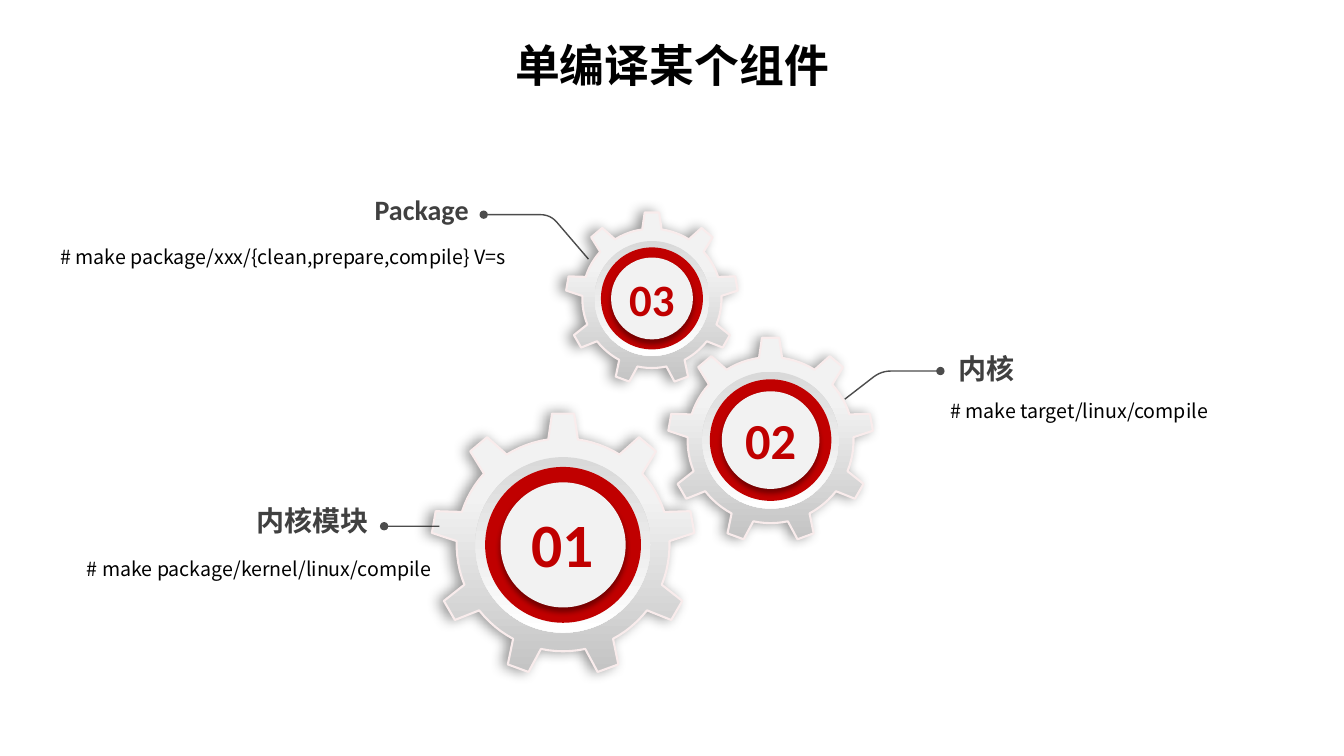
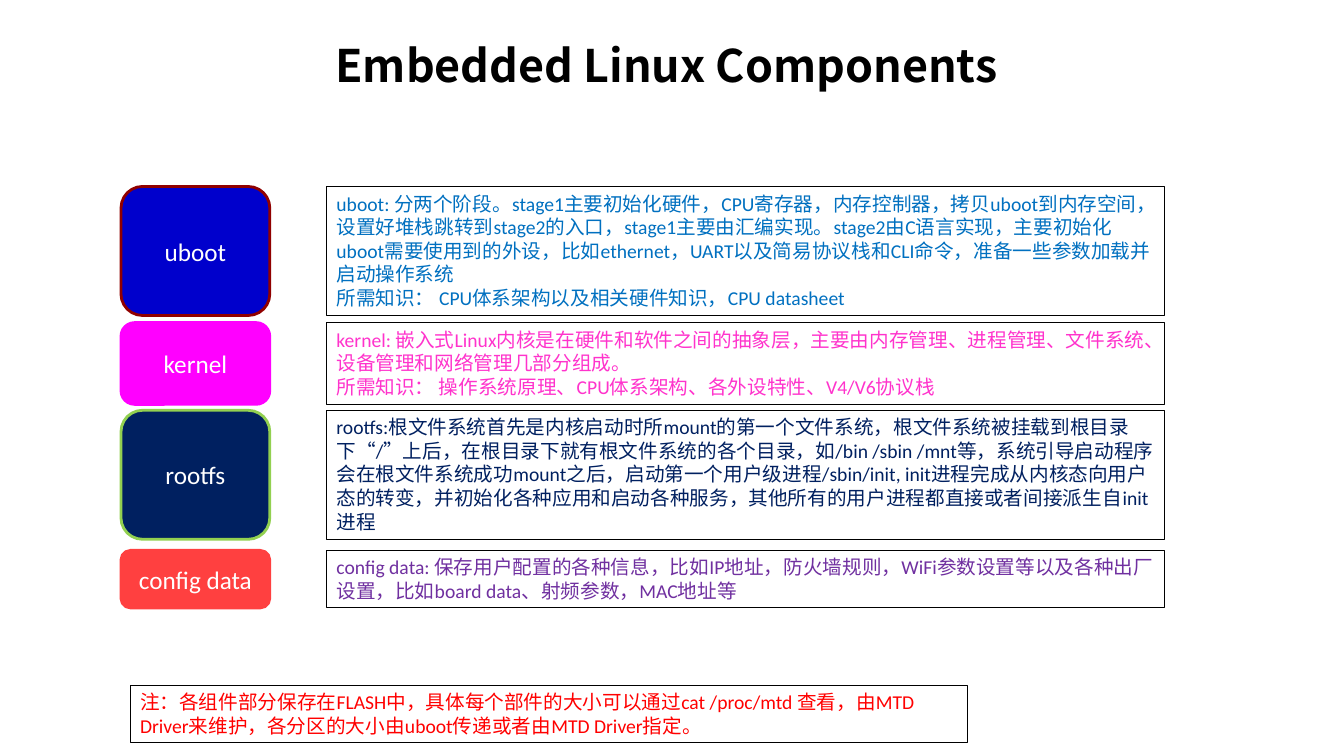
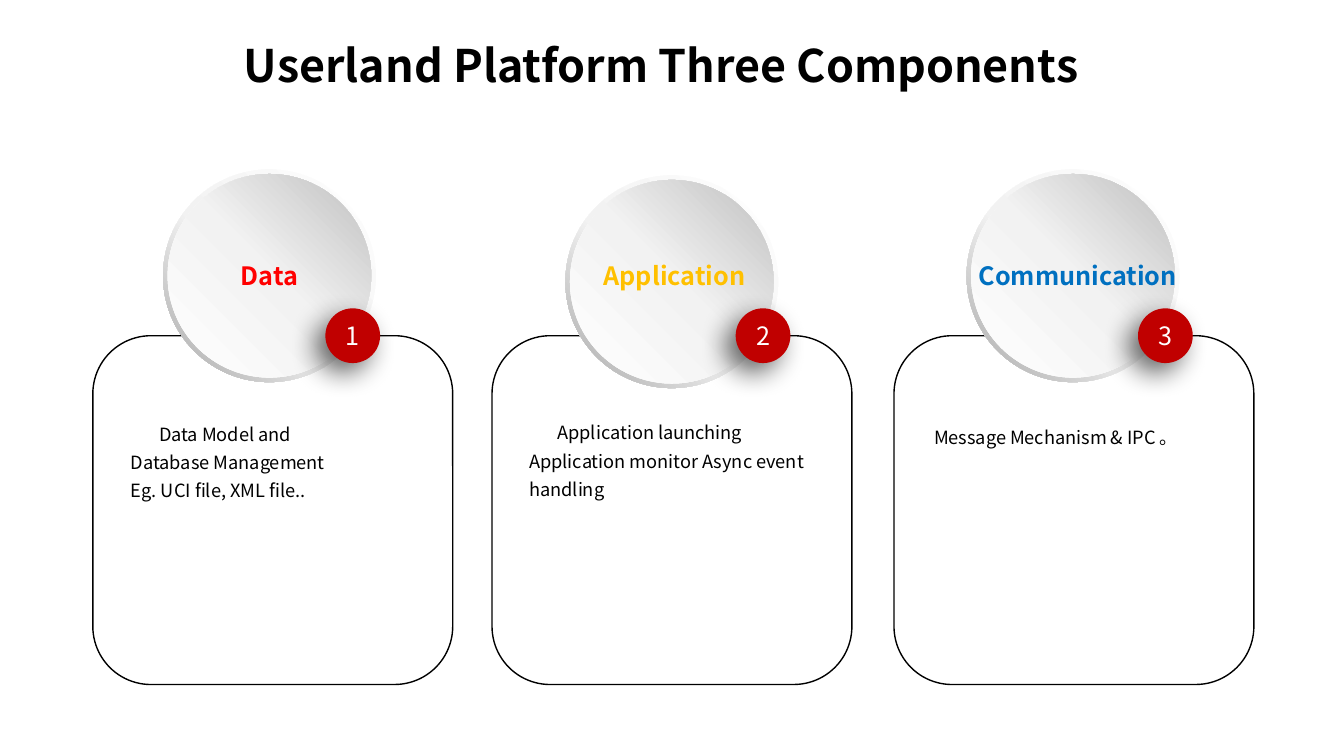
import math
from dataclasses import dataclass
from typing import Optional, Union

import lxml.etree
import pptx
import pptx.dml.color
import pptx.enum.shapes
import pptx.enum.text
import pptx.oxml.ns
import pptx.shapes.autoshape
import pptx.shapes.shapetree
import pptx.slide
import pptx.util

Cm = pptx.util.Cm
Shapes = Union[pptx.shapes.shapetree.SlideShapes, pptx.shapes.shapetree.GroupShapes]
Shape = pptx.shapes.autoshape.Shape
Kind = pptx.enum.shapes.MSO_SHAPE
Align = pptx.enum.text.PP_ALIGN
Anchor = pptx.enum.text.MSO_ANCHOR
Point = tuple[float, float]

CALIBRI = "Calibri"
NOTO = "Noto Sans CJK SC"
BLACK, WHITE, RED, PALE = "000000", "FFFFFF", "C00000", "F2F2F2"
LEADER = "202020"


@dataclass(frozen=True)
class Box:
    """Position and size in centimetres."""
    left: float
    top: float
    width: float
    height: float

    def lengths(self) -> tuple[int, ...]:
        return tuple(Cm(v) for v in (self.left, self.top, self.width, self.height))


@dataclass(frozen=True)
class TextStyle:
    size: float
    font: str = CALIBRI
    color: str = BLACK
    bold: bool = False
    align: Align = Align.LEFT
    spacing: float = 1.0
    indent: float = 0.0


@dataclass(frozen=True)
class Gradient:
    angle: int
    stops: tuple[tuple[int, str], ...]


@dataclass(frozen=True)
class Shadow:
    opacity: int
    blur: float
    distance: float
    angle: int


@dataclass(frozen=True)
class Gear:
    number: str
    center: Point
    size: float
    points: int


@dataclass(frozen=True)
class Command:
    heading: str
    heading_box: Box
    command: str
    command_box: Box
    align: Align
    leader: tuple[Point, ...]


@dataclass(frozen=True)
class Component:
    name: str
    top: float
    height: float
    fill: str
    line: str
    text_color: str
    notes: tuple[str, ...]


@dataclass(frozen=True)
class Card:
    number: str
    left: float
    disc_left: float
    disc_top: float
    badge_left: float
    heading: str
    heading_left: float
    heading_width: float
    color: str
    body: tuple[str, ...]
    body_box: Box
    indent: float


GEAR_FILL = Gradient(270, ((0, "C4C4C4"), (68, PALE)))
PLATE_FILL = Gradient(90, ((0, "D9D9D9"), (100, WHITE)))
RIM_FILL = Gradient(135, ((0, WHITE), (55, PALE), (100, "A6A6A6")))
DISC_FILL = Gradient(315, ((0, WHITE), (51, PALE), (100, "BFBFBF")))
GEAR_SHADOW = Shadow(40, 9, 4, 180)
CAP_SHADOW = Shadow(40, 4, 3, 90)
BADGE_SHADOW = Shadow(60, 20, 10, 135)

GEARS = (
    Gear("02", (19.42, 11.09), 5.21, 36),
    Gear("03", (16.43, 7.52), 4.37, 32),
    Gear("01", (14.19, 13.73), 6.68, 44),
)
COMMANDS = (
    Command("内核", Box(23.9, 8.74, 7.26, 1.12),
            "# make target/linux/compile", Box(23.7, 9.8, 7.77, 0.92),
            Align.LEFT, ((23.7, 9.35), (22.21, 9.35), (21.29, 10.06))),
    Command("Package", Box(5.61, 4.72, 6.45, 1.12),
            "# make package/xxx/{clean,prepare,compile} V=s", Box(0.63, 5.92, 12.37, 0.92),
            Align.RIGHT, ((12.19, 5.41), (13.87, 5.41), (14.83, 6.53))),
    Command("内核模块", Box(2.72, 12.57, 6.81, 1.12),
            "# make package/kernel/linux/compile", Box(1.33, 13.8, 9.8, 0.92),
            Align.RIGHT, ((9.68, 13.26), (11.07, 13.26))),
)
COMPONENTS = (
    Component("uboot", 4.7, 3.25, "0000CC", "900000", "0070C0", (
        "uboot: 分两个阶段。stage1主要初始化硬件，CPU寄存器，内存控制器，拷贝uboot到内存空间，"
        "设置好堆栈跳转到stage2的入口，stage1主要由汇编实现。stage2由C语言实现，"
        "主要初始化uboot需要使用到的外设，比如ethernet，UART以及简易协议栈和CLI命令，"
        "准备一些参数加载并启动操作系统",
        "所需知识： CPU体系架构以及相关硬件知识，CPU datasheet")),
    Component("kernel", 8.13, 2.06, "FF00FF", "FF00FF", "FF33CC", (
        "kernel: 嵌入式Linux内核是在硬件和软件之间的抽象层，主要由内存管理、进程管理、"
        "文件系统、设备管理和网络管理几部分组成。",
        "所需知识： 操作系统原理、CPU体系架构、各外设特性、V4/V6协议栈")),
    Component("rootfs", 10.34, 3.25, "002060", "92D050", "002060", (
        "rootfs:根文件系统首先是内核启动时所mount的第一个文件系统，根文件系统被挂载到根目录下“/”上后，"
        "在根目录下就有根文件系统的各个目录，如/bin /sbin /mnt等，"
        "系统引导启动程序会在根文件系统成功mount之后，启动第一个用户级进程/sbin/init, "
        "init进程完成从内核态向用户态的转变，并初始化各种应用和启动各种服务，"
        "其他所有的用户进程都直接或者间接派生自init进程",)),
    Component("config data", 13.87, 1.45, "FF4040", "FF4040", "7030A0", (
        "config data: 保存用户配置的各种信息，比如IP地址，防火墙规则，WiFi参数设置等以及各种出厂设置，"
        "比如board data、射频参数，MAC地址等",)),
)
FOOTNOTE = ("注：各组件部分保存在FLASH中，具体每个部件的大小可以通过cat /proc/mtd 查看，"
            "由MTD Driver来维护，各分区的大小由uboot传递或者由MTD Driver指定。")
CARDS = (
    Card("1", 2.34, 4.11, 4.27, 8.2, "Data", 5.74, 2.21, "FF0000",
         ("Data Model and", "Database Management", "Eg. UCI file, XML file.."),
         Box(3.3, 10.49, 6.27, 2.16), 0.71),
    Card("2", 12.4, 14.25, 4.42, 18.54, "Application", 14.88, 4.39, "FFC000",
         ("Application launching Application monitor Async event handling",),
         Box(13.34, 10.46, 7.19, 2.11), 0.71),
    Card("3", 22.53, 24.36, 4.27, 28.68, "Communication", 24.33, 5.82, "0070C0",
         ("Message Mechanism & IPC 。",), Box(23.44, 10.59, 7.09, 0.71), 0.1),
)


def color_of(value: str) -> pptx.dml.color.RGBColor:
    return pptx.dml.color.RGBColor.from_string(value)


def add_xml(parent, tag: str, **attributes: object):
    return lxml.etree.SubElement(parent, pptx.oxml.ns.qn(tag),
                                 {key: str(value) for key, value in attributes.items()})


def paint(shape: Shape, fill: Union[str, Gradient, None] = None, line: Optional[str] = None,
          width: float = 1, shadow: Optional[Shadow] = None) -> None:
    """Set fill, outline and shadow; None leaves that part out."""
    properties = shape._element.spPr
    if isinstance(fill, str):
        shape.fill.solid()
        shape.fill.fore_color.rgb = color_of(fill)
    else:
        shape.fill.background()
    if isinstance(fill, Gradient):
        gradient = lxml.etree.Element(pptx.oxml.ns.qn("a:gradFill"), rotWithShape="1")
        stops = add_xml(gradient, "a:gsLst")
        for position, value in fill.stops:
            add_xml(add_xml(stops, "a:gs", pos=position * 1000), "a:srgbClr", val=value)
        add_xml(gradient, "a:lin", ang=fill.angle * 60000, scaled=0)
        properties.replace(properties.find(pptx.oxml.ns.qn("a:noFill")), gradient)
    if line:
        shape.line.color.rgb = color_of(line)
        shape.line.width = pptx.util.Pt(width)
    else:
        shape.line.fill.background()
    shape.shadow.inherit = False
    if shadow:
        effects = properties.find(pptx.oxml.ns.qn("a:effectLst"))
        outer = add_xml(effects, "a:outerShdw", blurRad=pptx.util.Pt(shadow.blur),
                        dist=pptx.util.Pt(shadow.distance), dir=shadow.angle * 60000,
                        algn="ctr", rotWithShape=0)
        add_xml(add_xml(outer, "a:srgbClr", val=BLACK), "a:alpha", val=shadow.opacity * 1000)


def write(shape: Shape, texts: tuple[str, ...], style: TextStyle,
          anchor: Anchor = Anchor.TOP, wrap: bool = True) -> None:
    """Fill a shape with paragraphs; only the first one is indented."""
    frame = shape.text_frame
    frame.word_wrap = wrap
    frame.vertical_anchor = anchor
    for index, text in enumerate(texts):
        paragraph = frame.add_paragraph() if index else frame.paragraphs[0]
        paragraph.alignment = style.align
        paragraph.line_spacing = style.spacing
        if style.indent and index == 0:
            paragraph._p.get_or_add_pPr().set("indent", str(Cm(style.indent)))
        run = paragraph.add_run()
        run.text = text
        run.font.name = style.font
        run.font.size = pptx.util.Pt(style.size)
        run.font.bold = style.bold
        run.font.color.rgb = color_of(style.color)
        add_xml(run._r.get_or_add_rPr(), "a:ea", typeface=NOTO)


def set_insets(shape: Shape, horizontal: float, vertical: float) -> None:
    frame = shape.text_frame
    frame.margin_left = frame.margin_right = Cm(horizontal)
    frame.margin_top = frame.margin_bottom = Cm(vertical)


def add_text(shapes: Shapes, box: Box, texts: tuple[str, ...], style: TextStyle,
             wrap: bool = True) -> Shape:
    shape = shapes.add_textbox(*box.lengths())
    write(shape, texts, style, wrap=wrap)
    return shape


def add_title(slide: pptx.slide.Slide, text: str, font: str, shift: float = 0) -> None:
    """Centre the title, moved left by shift."""
    shape = slide.shapes.add_textbox(*Box(1.7 - shift, 0.76, 30.48, 1.75).lengths())
    write(shape, (text,), TextStyle(32, font, bold=True, align=Align.CENTER), Anchor.MIDDLE)


def add_circle(shapes: Shapes, center: Point, diameter: float,
               fill: Union[str, Gradient], shadow: Optional[Shadow] = None) -> Shape:
    x, y = center
    box = Box(x - diameter / 2, y - diameter / 2, diameter, diameter)
    shape = shapes.add_shape(Kind.OVAL, *box.lengths())
    paint(shape, fill, shadow=shadow)
    return shape


def add_outline(shapes: Shapes, points: list[Point], close: bool) -> Shape:
    lengths = [(Cm(x), Cm(y)) for x, y in points]
    builder = shapes.build_freeform(*lengths[0])
    builder.add_line_segments(lengths[1:], close=close)
    return builder.convert_to_shape()


def gear_points(gear: Gear, teeth: int = 9, steps: int = 6) -> list[Point]:
    """Trace each tooth, then the arc of the body up to the next tooth."""
    pitch, base, tip = 360 / teeth, 8.0, 4.8
    body, outer = 0.4015 * gear.size, 0.497 * gear.size
    profile = [(-base, body), (-tip, outer), (tip, outer)]
    profile += [(base + (pitch - 2 * base) * step / steps, body) for step in range(steps)]
    x, y = gear.center
    points = []
    for tooth in range(teeth):
        for degrees, radius in profile:
            angle = math.radians(tooth * pitch + degrees)
            points.append((x + radius * math.sin(angle), y - radius * math.cos(angle)))
    return points


def add_gear(slide: pptx.slide.Slide, gear: Gear) -> None:
    shapes = slide.shapes.add_group_shape().shapes
    paint(add_outline(shapes, gear_points(gear), True), GEAR_FILL, "F9ECEC", 1.5, GEAR_SHADOW)
    add_circle(shapes, gear.center, 0.662 * gear.size, PLATE_FILL)
    add_circle(shapes, gear.center, 0.588 * gear.size, RED)
    add_circle(shapes, gear.center, 0.472 * gear.size, PALE, CAP_SHADOW)
    width, height = 0.49 * gear.size, gear.points * 0.05
    x, y = gear.center
    add_text(shapes, Box(x - width / 2, y - height / 2, width, height), (gear.number,),
             TextStyle(gear.points, color=RED, bold=True, align=Align.CENTER))


def add_leader(slide: pptx.slide.Slide, points: tuple[Point, ...], trim: float = 0.25) -> None:
    """Draw a dotted-end line; a middle point becomes a rounded corner."""
    if len(points) == 2:
        (x1, y1), (x2, y2) = points
        line = slide.shapes.add_connector(pptx.enum.shapes.MSO_CONNECTOR.STRAIGHT,
                                          Cm(x1), Cm(y1), Cm(x2), Cm(y2))
        line.line.color.rgb = color_of(LEADER)
        line.line.width = pptx.util.Pt(1)
        add_xml(line._element.spPr, "a:effectLst")
    else:
        start, corner, end = points

        def toward(target: Point) -> Point:
            share = trim / math.dist(corner, target)
            return tuple(c + (t - c) * share for c, t in zip(corner, target))

        enter, leave = toward(start), toward(end)
        bend = [tuple((1 - t) ** 2 * a + 2 * t * (1 - t) * b + t * t * c
                      for a, b, c in zip(enter, corner, leave))
                for t in (step / 6 for step in range(7))]
        line = add_outline(slide.shapes, [start, *bend, end], False)
        paint(line, line=LEADER)
    stroke = line._element.spPr.find(pptx.oxml.ns.qn("a:ln"))
    add_xml(next(stroke.iter(pptx.oxml.ns.qn("a:srgbClr"))), "a:alpha", val=80000)
    add_xml(stroke, "a:headEnd", type="oval")


def add_note(slide: pptx.slide.Slide, box: Box, texts: tuple[str, ...], color: str) -> None:
    shape = slide.shapes.add_shape(Kind.RECTANGLE, *box.lengths())
    paint(shape, line=BLACK, width=0.75)
    write(shape, texts, TextStyle(14, color=color))


def add_component(slide: pptx.slide.Slide, component: Component) -> None:
    label = slide.shapes.add_shape(
        Kind.ROUNDED_RECTANGLE, *Box(3.05, component.top, 3.75, component.height).lengths())
    paint(label, component.fill, component.line, 2)
    write(label, (component.name,), TextStyle(18, color=WHITE, align=Align.CENTER), Anchor.MIDDLE)
    add_note(slide, Box(8.23, component.top, 21.11, component.height),
             component.notes, component.text_color)


def add_card(slide: pptx.slide.Slide, card: Card) -> None:
    frame = slide.shapes.add_shape(Kind.ROUNDED_RECTANGLE,
                                   *Box(card.left, 8.46, 9.07, 8.79).lengths())
    paint(frame, line=BLACK)

    disc = slide.shapes.add_group_shape().shapes
    size = 5.36
    rim = disc.add_shape(Kind.DONUT, *Box(card.disc_left, card.disc_top, size, size).lengths())
    rim.adjustments[0] = 0.049
    paint(rim, RIM_FILL)
    add_circle(disc, (card.disc_left + size / 2, card.disc_top + size / 2), 5.13, DISC_FILL)

    badge = add_circle(slide.shapes, (card.badge_left + 0.69, 8.46), 1.38, RED, BADGE_SHADOW)
    set_insets(badge, 0, 0)
    write(badge, (card.number,), TextStyle(18, NOTO, WHITE, align=Align.CENTER), Anchor.MIDDLE)

    heading = add_text(slide.shapes, Box(card.heading_left, 6.38, card.heading_width, 1.12),
                       (card.heading,), TextStyle(18, NOTO, card.color, bold=True), wrap=False)
    set_insets(heading, 0.33, 0.18)
    body = add_text(slide.shapes, card.body_box, card.body,
                    TextStyle(13, NOTO, spacing=1.3, indent=card.indent))
    set_insets(body, 0, 0)


def main() -> None:
    presentation = pptx.Presentation()
    presentation.slide_width, presentation.slide_height = Cm(33.87), Cm(19.05)
    blank = presentation.slide_layouts[6]

    commands = presentation.slides.add_slide(blank)
    add_title(commands, "单编译某个组件", CALIBRI)
    for gear in GEARS:
        add_gear(commands, gear)
    for item in COMMANDS:
        add_leader(commands, item.leader)
        add_text(commands.shapes, item.heading_box, (item.heading,),
                 TextStyle(20, color="404040", bold=True, align=item.align))
        add_text(commands.shapes, item.command_box, (item.command,),
                 TextStyle(14, NOTO, align=item.align, spacing=1.2))

    components = presentation.slides.add_slide(blank)
    add_title(components, "Embedded Linux Components", NOTO, 0.14)
    for component in COMPONENTS:
        add_component(components, component)
    add_note(components, Box(3.28, 17.27, 21.11, 1.45), (FOOTNOTE,), "FF0000")

    platform = presentation.slides.add_slide(blank)
    add_title(platform, "Userland Platform Three Components", NOTO, 0.27)
    for card in CARDS:
        add_card(platform, card)

    presentation.save("out.pptx")


if __name__ == "__main__":
    main()
